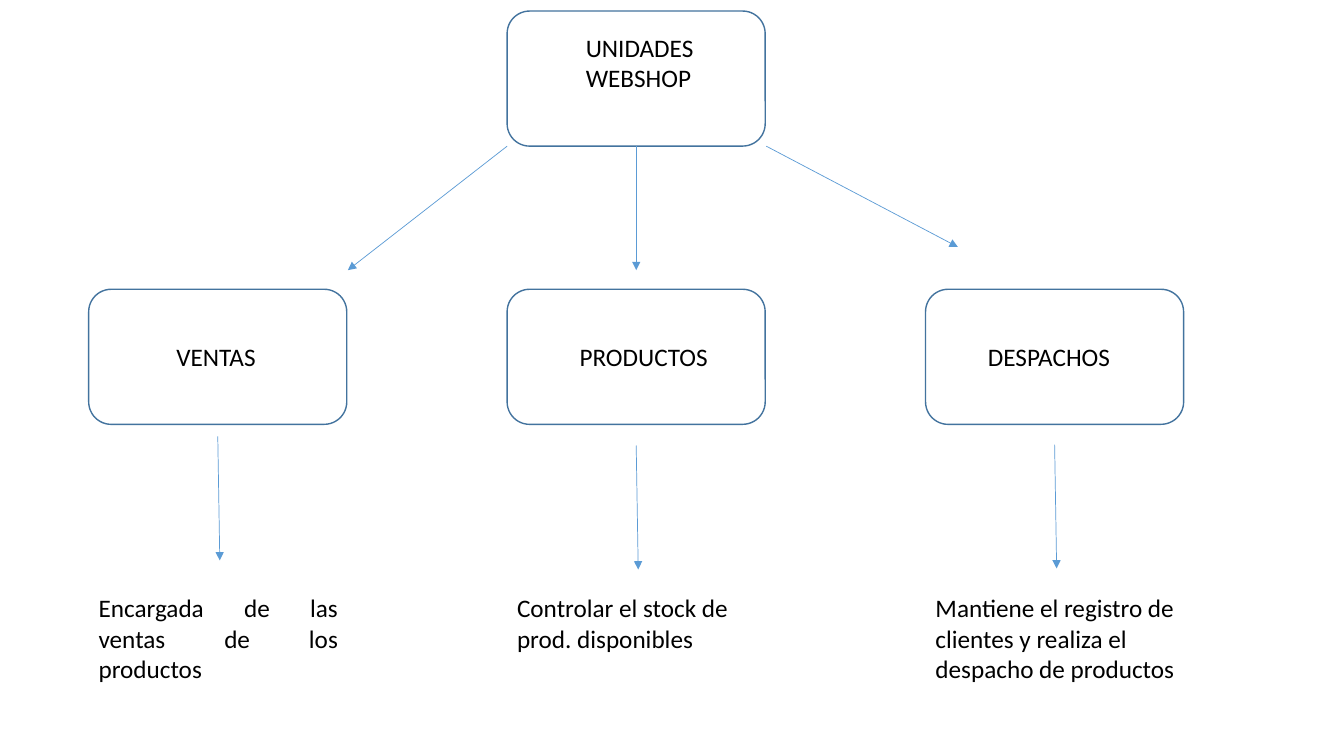
from dataclasses import dataclass
from typing import Optional

from lxml.etree import SubElement
from pptx import Presentation
from pptx.dml.color import RGBColor
from pptx.enum.shapes import MSO_CONNECTOR as Connector, MSO_SHAPE as Preset
from pptx.enum.text import MSO_ANCHOR as Anchor, MSO_AUTO_SIZE as AutoSize, PP_ALIGN as Align
from pptx.oxml.ns import qn
from pptx.shapes.autoshape import Shape
from pptx.slide import Slide
from pptx.util import Emu, Pt

PX = 9144  # 100 px to the inch


@dataclass(frozen=True)
class Theme:
    font: str = "Calibri"
    text_size: Pt = Pt(18)
    text: RGBColor = RGBColor(0x00, 0x00, 0x00)
    border: RGBColor = RGBColor(0x43, 0x73, 0x9E)
    arrow: RGBColor = RGBColor(0x5B, 0x9B, 0xD5)
    border_width: Pt = Pt(1)
    arrow_width: Pt = Pt(0.5)


@dataclass(frozen=True)
class Area:
    left: int
    top: int
    width: int
    height: int

    def emu(self) -> tuple[Emu, ...]:
        return tuple(px(v) for v in (self.left, self.top, self.width, self.height))


@dataclass(frozen=True)
class Arrow:
    x1: int
    y1: int
    x2: int
    y2: int


@dataclass(frozen=True)
class Unit:
    name: str
    name_left: int
    name_width: int
    duty: str
    duty_width: int
    duty_height: int
    duty_align: Align
    from_root: Arrow
    duty_arrow_top: int


THEME = Theme()
BOX_WIDTH, BOX_HEIGHT = 256, 134
FIRST_LEFT, UNIT_PITCH = 88, 415
UNIT_TOP, NAME_TOP, DUTY_TOP = 287, 334, 583
ROOT = Area(FIRST_LEFT + UNIT_PITCH, 11, BOX_WIDTH, BOX_HEIGHT)
ROOT_TITLE = Area(571, 27, 141, 101)
DUTY_ARROW_HEIGHT, DUTY_ARROW_SHIFT = 123, 2

UNITS = (
    Unit("VENTAS", 165, 102, "Encargada de las ventas de los productos",
         257, 101, Align.JUSTIFY, Arrow(503, 145, 345, 268), 433),
    Unit("PRODUCTOS", 565, 153, "Controlar el stock de prod. disponibles",
         257, 71, Align.LEFT, Arrow(631, 145, 631, 268), 442),
    Unit("DESPACHOS", 970, 153, "Mantiene el registro de clientes y realiza el despacho de productos",
         271, 101, Align.LEFT, Arrow(760, 145, 950, 245), 441),
)


def px(value: int) -> Emu:
    return Emu(value * PX)


def write(holder: Shape, text: str, align: Align = Align.LEFT) -> None:
    frame = holder.text_frame
    frame.text = text
    frame.word_wrap = True
    frame.auto_size = AutoSize.SHAPE_TO_FIT_TEXT
    frame.vertical_anchor = Anchor.TOP
    for paragraph in frame.paragraphs:
        paragraph.alignment = align
        paragraph.line_spacing = 1.0
        paragraph.space_before = Pt(0)
        for run in paragraph.runs:
            run.font.name = THEME.font
            run.font.size = THEME.text_size
            run.font.color.rgb = THEME.text


def add_text(slide: Slide, area: Area, text: str, align: Align = Align.LEFT) -> None:
    write(slide.shapes.add_textbox(*area.emu()), text, align)


def add_box(slide: Slide, area: Area) -> Shape:
    box = slide.shapes.add_shape(Preset.ROUNDED_RECTANGLE, *area.emu())
    box.shadow.inherit = False
    box.fill.background()
    box.line.color.rgb = THEME.border
    box.line.width = THEME.border_width
    return box


def add_arrow(slide: Slide, arrow: Arrow, source: Optional[Shape] = None) -> None:
    """Draw an arrow, joined to the bottom of source if one is given."""
    line = slide.shapes.add_connector(
        Connector.STRAIGHT, px(arrow.x1), px(arrow.y1), px(arrow.x2), px(arrow.y2))
    if source is not None:
        line.begin_connect(source, 2)
    line.line.color.rgb = THEME.arrow
    line.line.width = THEME.arrow_width
    SubElement(line.line._get_or_add_ln(), qn("a:tailEnd"), type="triangle")
    SubElement(line._element.spPr, qn("a:effectLst"))


def add_root(slide: Slide) -> Shape:
    root = add_box(slide, ROOT)
    title = slide.shapes.title
    title.left, title.top, title.width, title.height = ROOT_TITLE.emu()
    write(title, "UNIDADES\nWEBSHOP")
    return root


def add_unit(slide: Slide, unit: Unit, left: int, root: Shape) -> None:
    add_box(slide, Area(left, UNIT_TOP, BOX_WIDTH, BOX_HEIGHT))
    add_text(slide, Area(unit.name_left, NAME_TOP, unit.name_width, 40), unit.name)
    starts_mid_root = unit.from_root.x1 == ROOT.left + ROOT.width // 2
    add_arrow(slide, unit.from_root, root if starts_mid_root else None)
    middle, top = left + BOX_WIDTH // 2, unit.duty_arrow_top
    add_arrow(slide, Arrow(middle, top, middle + DUTY_ARROW_SHIFT, top + DUTY_ARROW_HEIGHT))
    add_text(slide, Area(left, DUTY_TOP, unit.duty_width, unit.duty_height),
             unit.duty, unit.duty_align)


def main() -> None:
    deck = Presentation()
    deck.slide_width, deck.slide_height = px(1333), px(750)
    title_only = deck.slide_layouts[5]
    slide = deck.slides.add_slide(title_only)
    root = add_root(slide)
    for column, unit in enumerate(UNITS):
        add_unit(slide, unit, FIRST_LEFT + column * UNIT_PITCH, root)
    deck.save("out.pptx")


if __name__ == "__main__":
    main()
